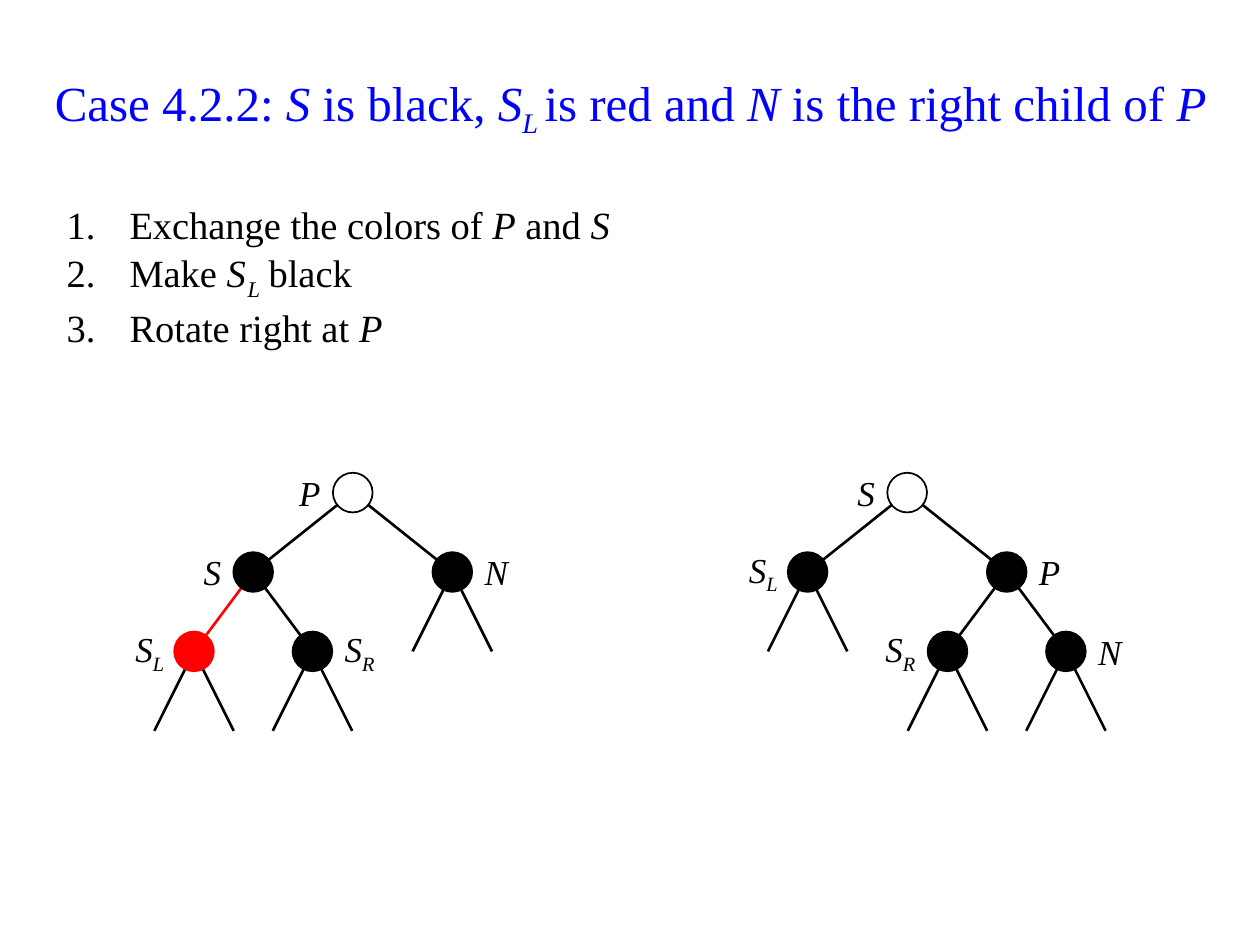
from dataclasses import dataclass

from lxml import etree
from pptx import Presentation
from pptx.dml.color import RGBColor
from pptx.enum.shapes import MSO_CONNECTOR, MSO_SHAPE
from pptx.enum.text import MSO_ANCHOR, PP_ALIGN
from pptx.oxml.ns import qn
from pptx.util import Inches, Pt

BLACK = RGBColor(0x00, 0x00, 0x00)
WHITE = RGBColor(0xFF, 0xFF, 0xFF)
RED = RGBColor(0xFF, 0x00, 0x00)
BLUE = RGBColor(0x00, 0x00, 0xFF)

DIAMETER = 0.315
LEVEL_HEIGHT = 0.63
LABEL_WIDTH = 0.47
CHILD_SPREAD = (0.79, 0.47)  # horizontal distance to a child, by depth
STUB_SPREAD = 0.315


@dataclass
class Node:
    label: str
    label_side: str
    color: RGBColor = BLACK
    children: tuple = ()


class TreeSlide:
    font_name = "Times New Roman"

    def __init__(self, presentation):
        self.slide = presentation.slides.add_slide(presentation.slide_layouts[6])

    def text(self, box, lines, size, color=BLACK, align=PP_ALIGN.LEFT,
             anchor=MSO_ANCHOR.MIDDLE, numbered=False, right_inset=0.1, sub_spacing=0):
        """Add a text box; *...* marks italics and _ starts a subscript within them."""
        shape = self.slide.shapes.add_textbox(*map(Inches, box))
        frame = shape.text_frame
        frame.word_wrap = True
        frame.vertical_anchor = anchor
        frame.margin_right = Inches(right_inset)
        for index, line in enumerate(lines):
            paragraph = frame.paragraphs[0] if index == 0 else frame.add_paragraph()
            paragraph.alignment = align
            if index:
                paragraph.space_before = Pt(1)
            if numbered:
                self.number(paragraph)
            paragraph.font.name = self.font_name
            paragraph.font.size = Pt(size)
            paragraph.font.color.rgb = color
            self.runs(paragraph, line, sub_spacing)

    def number(self, paragraph):
        properties = paragraph._p.get_or_add_pPr()
        properties.set("marL", str(Inches(0.5)))
        properties.set("indent", str(-Inches(0.5)))
        etree.SubElement(properties, qn("a:buFont"), typeface="+mj-lt")
        etree.SubElement(properties, qn("a:buAutoNum"), type="arabicPeriod")

    def runs(self, paragraph, line, sub_spacing):
        for index, segment in enumerate(line.split("*")):
            base, _, subscript = segment.partition("_")
            for text, offset in ((base, 0), (subscript, -25000)):
                if not text:
                    continue
                run = paragraph.add_run()
                run.text = text
                run.font.italic = index % 2 == 1
                properties = run._r.get_or_add_rPr()
                if offset:
                    properties.set("baseline", str(offset))
                if subscript and sub_spacing:
                    properties.set("spc", str(sub_spacing))

    def edge(self, start, end, color=BLACK):
        connector = self.slide.shapes.add_connector(
            MSO_CONNECTOR.STRAIGHT, *map(Inches, (*start, *end)))
        connector.line.color.rgb = color
        connector.line.width = Pt(1.5)
        etree.SubElement(connector._element.spPr, qn("a:effectLst"))

    def circle(self, x, y, color):
        left, top = x - DIAMETER / 2, y - DIAMETER / 2
        shape = self.slide.shapes.add_shape(
            MSO_SHAPE.OVAL, *map(Inches, (left, top, DIAMETER, DIAMETER)))
        shape.shadow.inherit = False
        shape.fill.solid()
        shape.fill.fore_color.rgb = color
        shape.line.color.rgb = BLACK if color == WHITE else color
        shape.line.width = Pt(1)

    def label(self, x, y, node):
        on_left = node.label_side == "left"
        left = x - DIAMETER / 2 - LABEL_WIDTH if on_left else x + DIAMETER / 2
        self.text((left, y - LEVEL_HEIGHT / 2, LABEL_WIDTH, LEVEL_HEIGHT),
                  [f"*{node.label}*"], 20,
                  align=PP_ALIGN.RIGHT if on_left else PP_ALIGN.LEFT,
                  right_inset=0.08 if node.label == "S_L" else 0.1)

    def tree(self, node, x, y, depth=0):
        """Draw a subtree; a node without children gets two open stubs."""
        spread = CHILD_SPREAD[depth] if node.children else STUB_SPREAD
        below = y + LEVEL_HEIGHT
        for side, child in zip((-1, 1), node.children or (None, None)):
            child_x = x + side * spread
            is_red = child is not None and child.color == RED
            self.edge((x, y), (child_x, below), RED if is_red else BLACK)
            if child:
                self.tree(child, child_x, below, depth + 1)
        self.circle(x, y, node.color)
        self.label(x, y, node)


def main():
    presentation = Presentation()
    presentation.slide_width = Inches(10)
    presentation.slide_height = Inches(7.5)
    page = TreeSlide(presentation)

    page.text((0.28, 0.29, 9.45, 1.1),
              ["Case 4.2.2: *S* is black, *S_L *is red and *N* is the right child of *P*"],
              28, BLUE, PP_ALIGN.CENTER)
    page.text((0.43, 1.55, 9.13, 1.26),
              ["Exchange the colors of *P* and *S*", "Make *S_L *black",
               "Rotate right at *P*"],
              22, anchor=MSO_ANCHOR.TOP, numbered=True, sub_spacing=100)

    before = Node("P", "left", WHITE, (
        Node("S", "left", children=(Node("S_L", "left", RED), Node("S_R", "right"))),
        Node("N", "right")))
    after = Node("S", "left", WHITE, (
        Node("S_L", "left"),
        Node("P", "right", children=(Node("S_R", "left"), Node("N", "right")))))
    for root, x in ((before, 2.8), (after, 7.2)):
        page.tree(root, x, 3.91)

    presentation.save("out.pptx")


if __name__ == "__main__":
    main()
